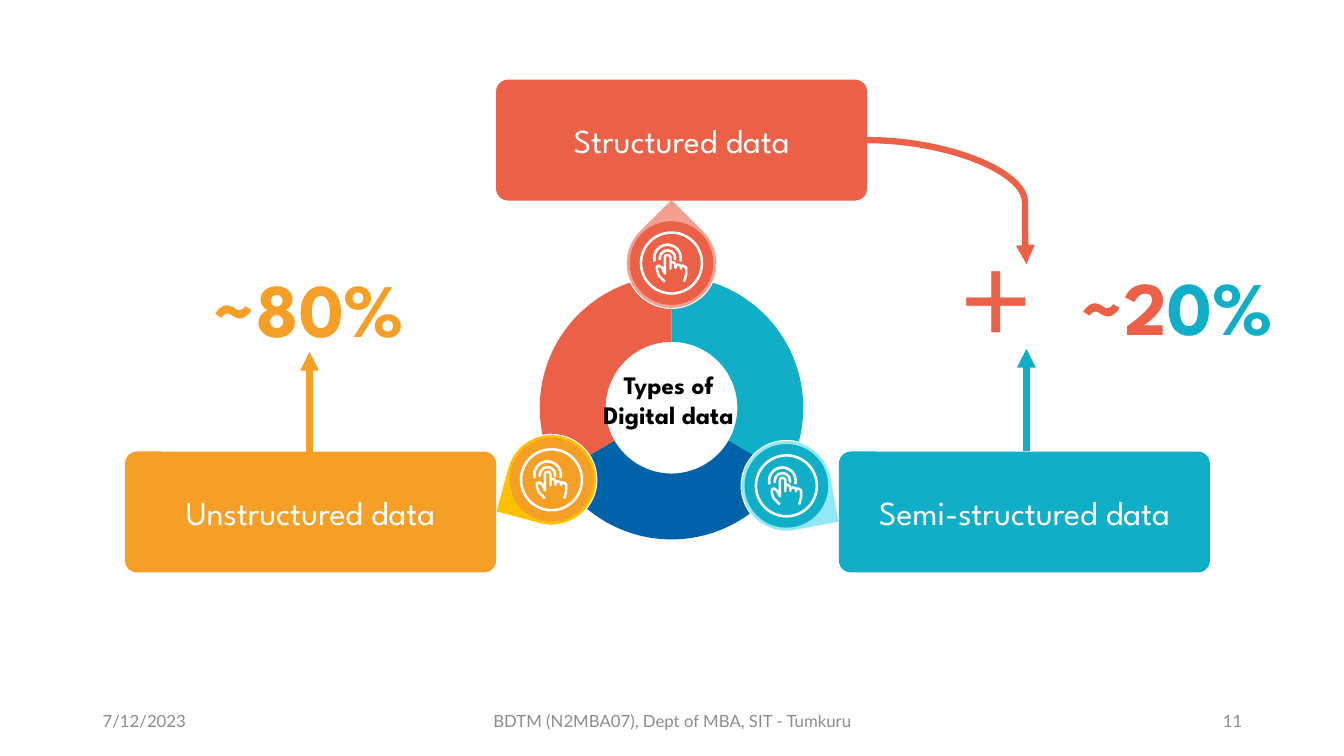
"""Build a slide on the three types of digital data and their shares."""
import lxml.etree
import pptx
import pptx.chart.data
import pptx.dml.color
import pptx.enum.chart
import pptx.enum.shapes
import pptx.enum.text
import pptx.oxml.ns
import pptx.util

Inches = pptx.util.Inches
Pt = pptx.util.Pt
RGBColor = pptx.dml.color.RGBColor
Shape = pptx.enum.shapes.MSO_SHAPE
Connector = pptx.enum.shapes.MSO_CONNECTOR
Align = pptx.enum.text.PP_ALIGN
Anchor = pptx.enum.text.MSO_ANCHOR
qn = pptx.oxml.ns.qn

CORAL = RGBColor(0xEB, 0x60, 0x47)
LIGHT_CORAL = RGBColor(0xF3, 0xA0, 0x91)
ORANGE = RGBColor(0xF5, 0x9F, 0x26)
YELLOW = RGBColor(0xFF, 0xC0, 0x00)
TEAL = RGBColor(0x11, 0xAE, 0xC7)
LIGHT_TEAL = RGBColor(0x93, 0xE8, 0xF6)
BLUE = RGBColor(0x00, 0x62, 0xA9)
WHITE = RGBColor(0xFF, 0xFF, 0xFF)
BLACK = RGBColor(0x00, 0x00, 0x00)
GRAY = RGBColor(0x8C, 0x8C, 0x8C)

HAND_OUTLINE = [
    (-65, 185), (-125, 125), (-145, 65), (-145, 35), (-125, 25), (-95, 45),
    (-65, 105), (-65, -65), (-50, -80), (-25, -80), (-10, -55), (-10, 55),
    (-10, -5), (15, -10), (35, 5), (40, 50), (40, 25), (65, 15), (90, 25),
    (95, 55), (95, 35), (115, 25), (145, 45), (145, 115), (125, 185),
]


class DataTypesSlide:
    """Hold the slide and its style, and add each kind of element."""

    heading_font = "League Spartan"
    body_font = "Lato"

    def __init__(self, slide):
        self.slide = slide

    def preset(self, kind, left, top, width, height, fill, rotation=0):
        shape = self.slide.shapes.add_shape(
            kind, Inches(left), Inches(top), Inches(width), Inches(height))
        shape.shadow.inherit = False
        shape.fill.solid()
        shape.fill.fore_color.rgb = fill
        shape.line.fill.background()
        shape.rotation = rotation
        return shape

    def centered(self, kind, x, y, size, fill, rotation=0):
        return self.preset(
            kind, x - size / 2, y - size / 2, size, size, fill, rotation)

    def style(self, font, name, size, color, bold=False):
        font.name = name
        font.size = Pt(size)
        font.color.rgb = color
        font.bold = bold

    def text(self, left, top, width, height, lines, font, size, color,
             bold=False, align=Align.CENTER, anchor=Anchor.TOP, margin=None):
        box = self.slide.shapes.add_textbox(
            Inches(left), Inches(top), Inches(width), Inches(height))
        frame = box.text_frame
        frame.word_wrap = True
        frame.vertical_anchor = anchor
        if margin is not None:
            frame.margin_left = frame.margin_right = Inches(margin)
            frame.margin_top = frame.margin_bottom = Inches(margin)
        frame.text = "\n".join(lines)
        for paragraph in frame.paragraphs:
            paragraph.alignment = align
            self.style(paragraph.font, font, size, color, bold)
        return frame

    def label(self, left, top, caption, fill):
        shape = self.preset(
            Shape.ROUNDED_RECTANGLE, left, top, 3.68, 1.2, fill)
        shape.adjustments[0] = 0.1
        frame = shape.text_frame
        frame.word_wrap = True
        frame.vertical_anchor = Anchor.MIDDLE
        frame.text = caption
        paragraph = frame.paragraphs[0]
        paragraph.alignment = Align.CENTER
        self.style(paragraph.font, self.heading_font, 24, WHITE)

    def badge(self, x, y, fill, drop_fill, rotation):
        drop = self.centered(Shape.TEAR, x, y, 0.9, drop_fill, rotation)
        drop.line.color.rgb = WHITE
        drop.line.width = Pt(0.75)
        self.centered(Shape.OVAL, x, y, 0.83, fill)
        ring = self.centered(Shape.DONUT, x, y, 0.63, WHITE)
        ring.adjustments[0] = 0.04
        for size, thickness in ((0.29, 0.09), (0.18, 0.15)):
            ripple = self.centered(
                Shape.BLOCK_ARC, x - 0.04, y - 0.05, size, WHITE)
            ripple.adjustments[0] = 99
            ripple.adjustments[1] = 9
            ripple.adjustments[2] = thickness
        builder = self.slide.shapes.build_freeform(
            *HAND_OUTLINE[0], scale=Inches(1) / 1000)
        builder.add_line_segments(HAND_OUTLINE[1:], close=False)
        hand = builder.convert_to_shape(Inches(x), Inches(y))
        hand.shadow.inherit = False
        hand.fill.background()
        hand.line.color.rgb = WHITE
        hand.line.width = Pt(1.75)

    def arrow(self, kind, start, end, color):
        connector = self.slide.shapes.add_connector(
            kind, *(Inches(value) for value in (*start, *end)))
        connector.line.color.rgb = color
        connector.line.width = Pt(4.5)
        properties = connector._element.spPr
        lxml.etree.SubElement(
            properties.find(qn("a:ln")), qn("a:tailEnd"), type="triangle")
        lxml.etree.SubElement(properties, qn("a:effectLst"))
        return connector

    def bend(self, connector, position):
        geometry = connector._element.spPr.find(qn("a:prstGeom"))
        guides = geometry.find(qn("a:avLst"))
        if guides is None:
            guides = lxml.etree.SubElement(geometry, qn("a:avLst"))
        lxml.etree.SubElement(
            guides, qn("a:gd"), name="adj1", fmla=f"val {position}")

    def doughnut(self, left, top, width, height, colors):
        data = pptx.chart.data.CategoryChartData()
        data.categories = [str(i + 1) for i in range(len(colors))]
        data.add_series("Series 1", [33] * len(colors))
        chart = self.slide.shapes.add_chart(
            pptx.enum.chart.XL_CHART_TYPE.DOUGHNUT, Inches(left),
            Inches(top), Inches(width), Inches(height), data).chart
        chart.has_legend = False
        chart.has_title = False
        self.style(chart.font, self.body_font, 18, BLACK)
        plot = chart.plots[0]
        plot.vary_by_categories = True
        plot._element.find(qn("c:holeSize")).set("val", "65")
        for i, color in enumerate(colors):
            sector = plot.series[0].points[i].format
            sector.fill.solid()
            sector.fill.fore_color.rgb = color
            sector.line.fill.background()


def main():
    presentation = pptx.Presentation()
    presentation.slide_width = Inches(13.33)
    presentation.slide_height = Inches(7.5)
    page = DataTypesSlide(
        presentation.slides.add_slide(presentation.slide_layouts[6]))
    heading, body = page.heading_font, page.body_font

    page.doughnut(4.74, 2.6, 3.84, 2.89, (TEAL, BLUE, CORAL))
    page.badge(6.66, 2.61, CORAL, LIGHT_CORAL, 315)
    page.badge(5.47, 4.76, ORANGE, YELLOW, 195)
    page.badge(7.8, 4.82, TEAL, LIGHT_TEAL, 79.6)
    page.label(4.92, 0.79, "Structured data", CORAL)
    page.label(1.24, 4.48, "Unstructured data", ORANGE)
    page.label(8.32, 4.48, "Semi-structured data", TEAL)
    page.text(5.64, 3.61, 1.98, 0.71, ["Types of", "Digital data"],
              heading, 18, BLACK, bold=True)

    share = page.text(10.01, 2.58, 3.32, 0.91, ["~2"], heading, 54, CORAL,
                      bold=True, margin=0)
    second_digit = share.paragraphs[0].add_run()
    second_digit.text = "0%"
    second_digit.font.color.rgb = TEAL
    page.text(1.4, 2.6, 3.32, 0.91, ["~80%"], heading, 54, ORANGE,
              bold=True, margin=0)
    page.text(8.83, 2.19, 2.11, 1.48, ["+"], body, 88, CORAL, margin=0)

    curve = page.arrow(Connector.CURVE, (8.6, 1.39), (10.18, 2.62), CORAL)
    page.bend(curve, 99100)
    page.arrow(Connector.STRAIGHT, (10.18, 4.47), (10.18, 3.46), TEAL)
    page.arrow(Connector.STRAIGHT, (3.07, 4.5), (3.07, 3.49), ORANGE)

    for left, width, caption, align in (
            (0.92, 3, "7/12/2023", Align.LEFT),
            (4.42, 4.5, "BDTM (N2MBA07), Dept of MBA, SIT - Tumkuru",
             Align.CENTER),
            (9.42, 3, "11", Align.RIGHT)):
        page.text(left, 6.95, width, 0.4, [caption], body, 12, GRAY,
                  align=align, anchor=Anchor.MIDDLE)
    presentation.save("out.pptx")


if __name__ == "__main__":
    main()
